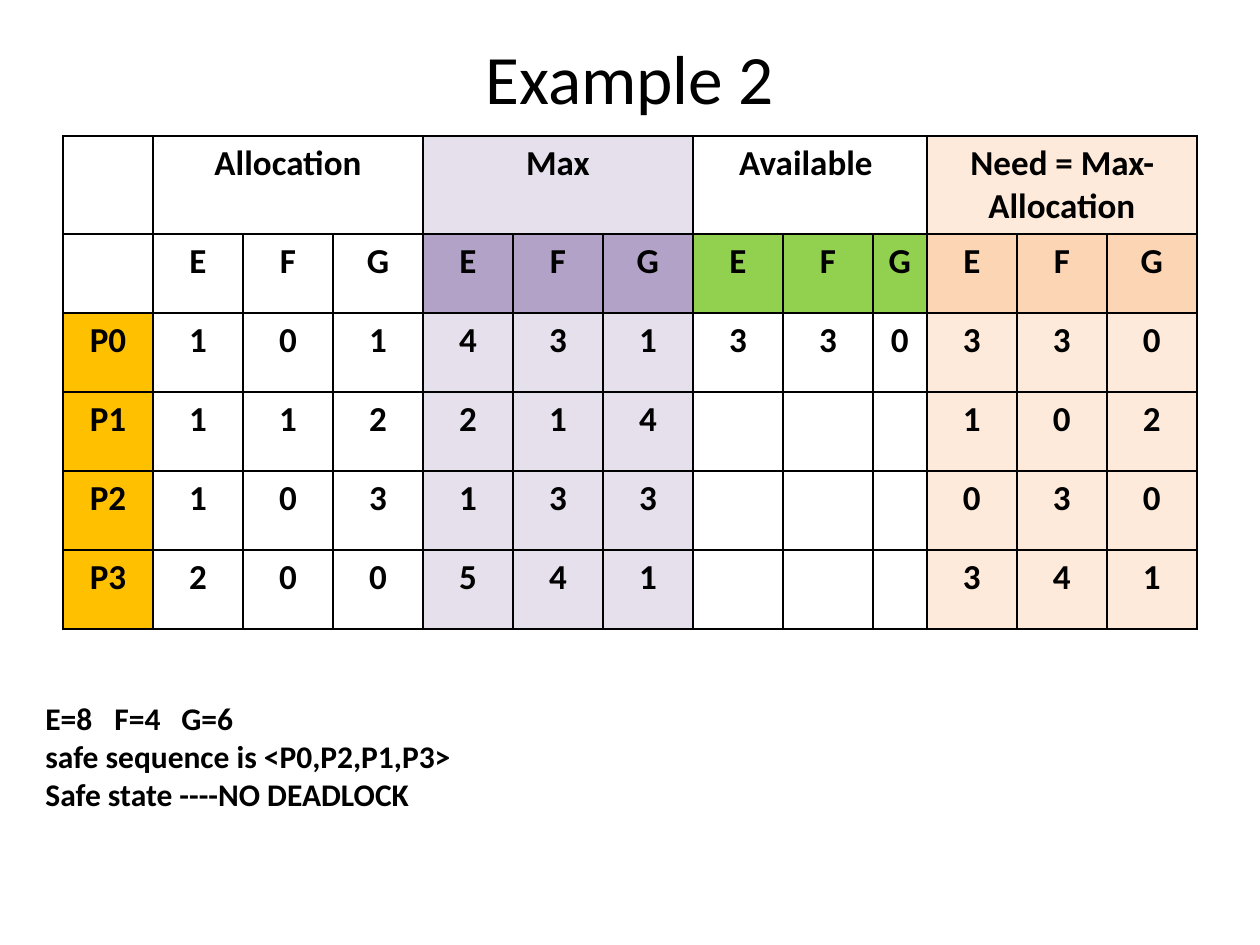
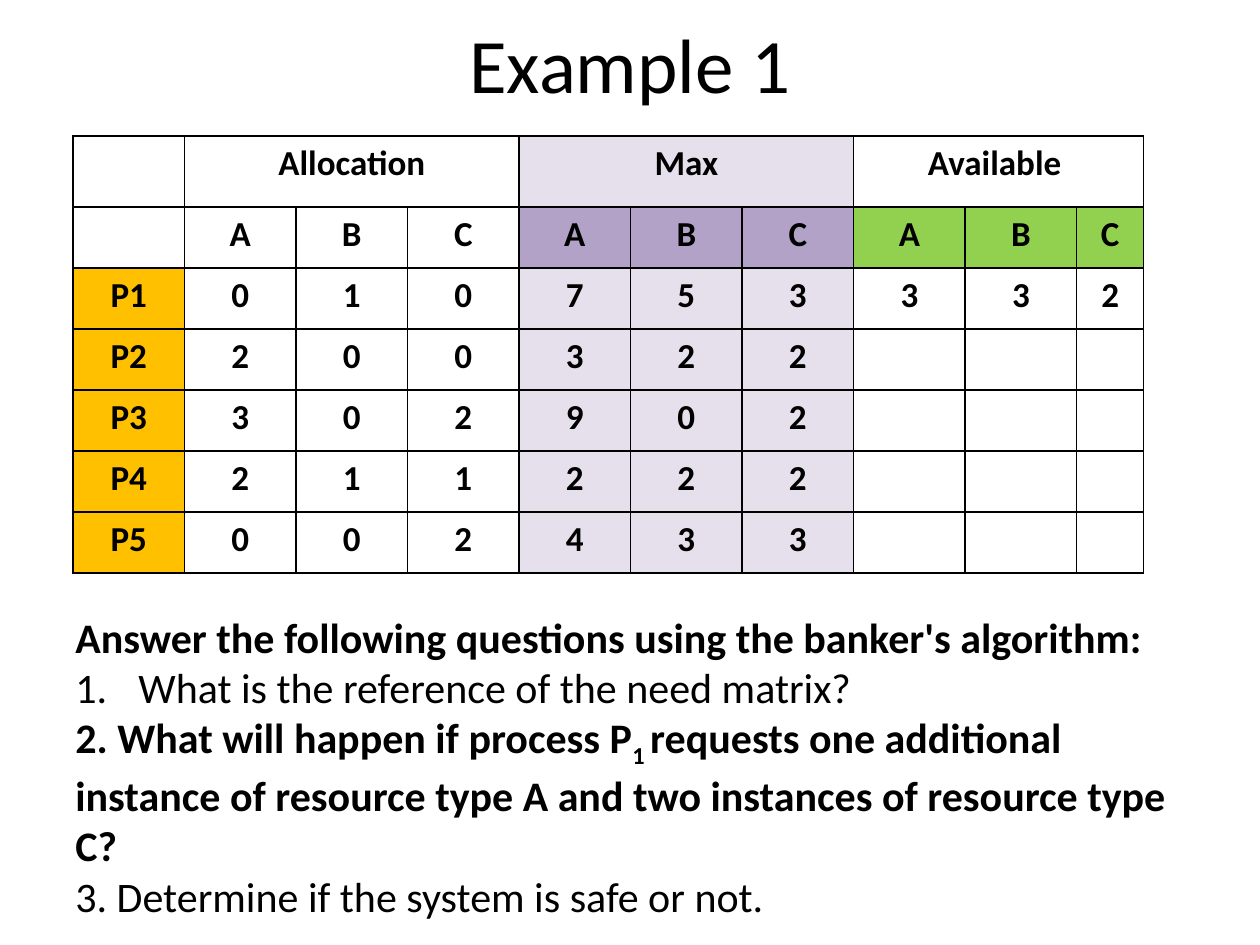
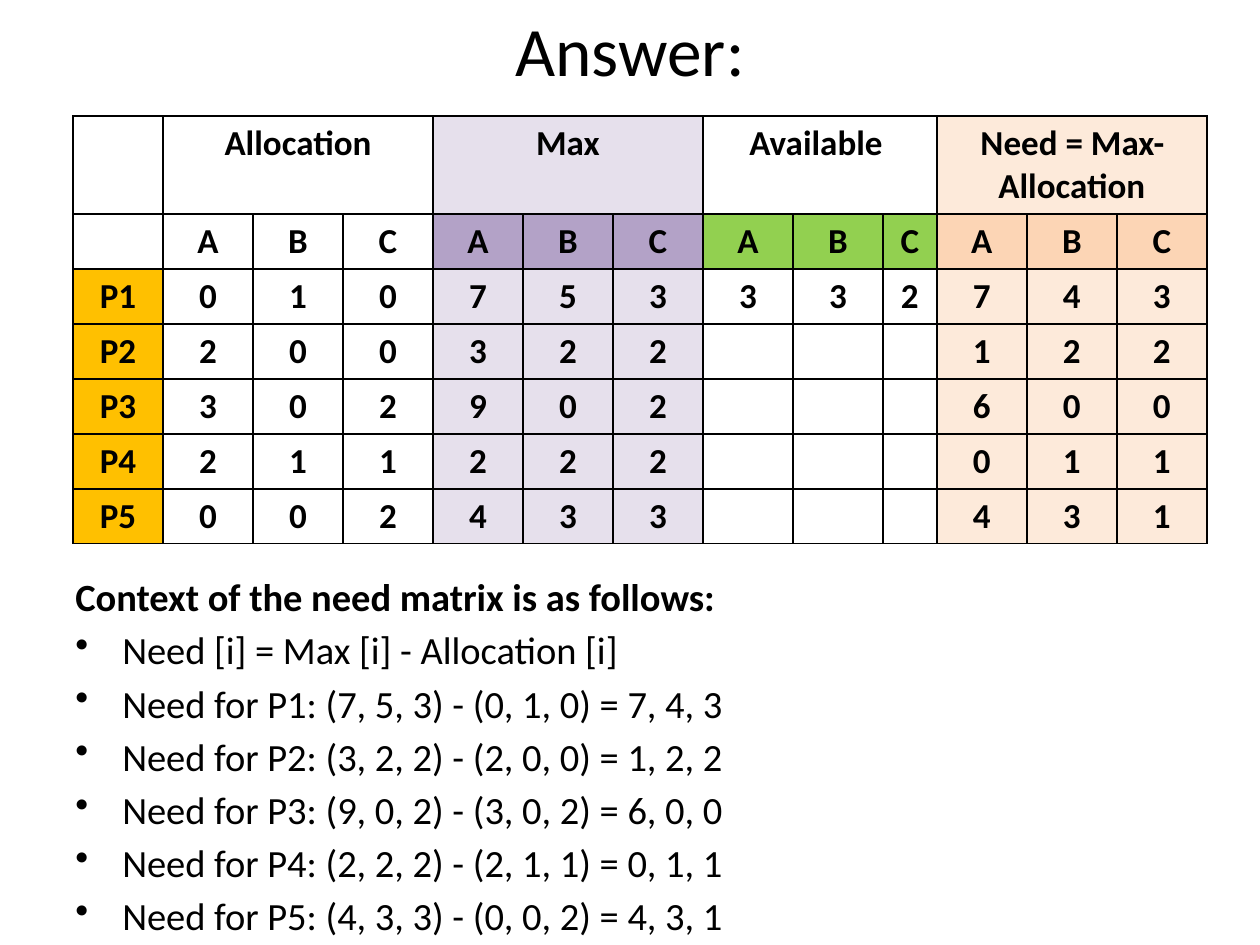
from dataclasses import dataclass
from lxml.etree import SubElement
from pptx import Presentation
from pptx.dml.color import RGBColor
from pptx.enum.text import MSO_ANCHOR, PP_ALIGN
from pptx.oxml.ns import qn
from pptx.util import Emu, Pt

EMU_PER_PX = 914400 / 126
FONT_NAME = "Calibri"
BLACK = RGBColor(0x00, 0x00, 0x00)
WHITE = RGBColor(0xFF, 0xFF, 0xFF)
AMBER = RGBColor(0xFF, 0xC0, 0x00)
GREEN = RGBColor(0x92, 0xD0, 0x50)
PURPLE = RGBColor(0xB3, 0xA2, 0xC7)
PALE_PURPLE = RGBColor(0xE6, 0xE0, 0xEC)
PEACH = RGBColor(0xFC, 0xD5, 0xB5)
PALE_PEACH = RGBColor(0xFD, 0xEA, 0xDA)

GROUP_STYLES = {
    "Allocation": (None, WHITE, None),
    "Max": (PALE_PURPLE, PURPLE, PALE_PURPLE),
    "Available ": (None, GREEN, WHITE),
    "Need = Max-Allocation": (PALE_PEACH, PEACH, PALE_PEACH),
}
WIDE, NARROW = 5, 3


@dataclass
class System:
    resources: str
    processes: list
    allocation: list
    maximum: list
    available: tuple

    def need(self):
        return [
            tuple(most - held for most, held in zip(*pair))
            for pair in zip(self.maximum, self.allocation)
        ]


SYSTEM_ABC = System(
    "ABC",
    ["P1", "P2", "P3", "P4", "P5"],
    [(0, 1, 0), (2, 0, 0), (3, 0, 2), (2, 1, 1), (0, 0, 2)],
    [(7, 5, 3), (3, 2, 2), (9, 0, 2), (2, 2, 2), (4, 3, 3)],
    (3, 3, 2),
)
SYSTEM_EFG = System(
    "EFG",
    ["P0", "P1", "P2", "P3"],
    [(1, 0, 1), (1, 1, 2), (1, 0, 3), (2, 0, 0)],
    [(4, 3, 1), (2, 1, 4), (1, 3, 3), (5, 4, 1)],
    (3, 3, 0),
)


def px(length):
    return Emu(round(length * EMU_PER_PX))


def apply_format(target, values):
    for name, value in values.items():
        setattr(target, name, value)


def add_span(para, text, size, bold=False, baseline=None):
    span = para.add_run()
    span.text = text
    apply_format(span.font, {"name": FONT_NAME, "size": Pt(size), "bold": bold})
    span.font.color.rgb = BLACK
    if baseline:
        span.font.bold = bold
        span._r.get_or_add_rPr().set("baseline", str(baseline * 1000))


def add_box(page, left, top, width, height, anchor=MSO_ANCHOR.TOP):
    box = page.shapes.add_textbox(px(left), px(top), px(width), px(height))
    apply_format(box.text_frame, {"word_wrap": True, "vertical_anchor": anchor})
    return box.text_frame


def next_para(frame):
    first = frame.paragraphs[0]
    return frame.add_paragraph() if first.runs else first


def add_line(frame, text, size, bold=False):
    para = next_para(frame)
    add_span(para, text, size, bold)
    return para


def hang(para, indent, marker=None, **attributes):
    properties = para._p.get_or_add_pPr()
    properties.set("marL", str(px(indent)))
    properties.set("indent", str(-px(indent)))
    if marker:
        SubElement(properties, qn(marker), attributes)


def set_tabs(para, stops):
    tabs = SubElement(para._p.get_or_add_pPr(), qn("a:tabLst"))
    for stop in stops:
        SubElement(tabs, qn("a:tab"), pos=str(px(stop)), algn="l")


def add_title(page, text, top, height, size):
    frame = add_box(page, 63, top, 1134, height, MSO_ANCHOR.MIDDLE)
    add_line(frame, text, size).alignment = PP_ALIGN.CENTER


def add_borders(cell):
    properties = cell._tc.get_or_add_tcPr()
    for position, side in enumerate(("a:lnL", "a:lnR", "a:lnT", "a:lnB")):
        line = properties.makeelement(qn(side), {"w": str(Pt(1))})
        fill = SubElement(line, qn("a:solidFill"))
        SubElement(fill, qn("a:srgbClr"), val=str(BLACK))
        properties.insert(position, line)


def fill_cell(cell, value, colour):
    if colour is None:
        cell.fill.background()
    else:
        cell.fill.solid()
        cell.fill.fore_color.rgb = colour
    if value != "":
        para = cell.text_frame.paragraphs[0]
        para.alignment = PP_ALIGN.CENTER
        add_span(para, str(value), 20, True)


def add_matrix(page, system, left, top, width, row_heights, with_need):
    count = len(system.processes)
    blank_row = ("", "", "")
    blocks = [
        system.allocation,
        system.maximum,
        [system.available] + [blank_row] * (count - 1),
    ]
    if with_need:
        blocks.append(system.need())
    weights = [WIDE] * (1 + 3 * len(blocks))
    weights[9] = NARROW
    heights = [row_heights[0]] + [row_heights[1]] * (count + 1)
    table = page.shapes.add_table(
        len(heights), len(weights), px(left), px(top), px(width), px(sum(heights))
    ).table
    apply_format(table, {"first_row": False, "horz_banding": False})
    for column, weight in zip(table.columns, weights):
        column.width = px(width * weight / sum(weights))
    for row, height in zip(table.rows, heights):
        row.height = px(height)

    for index, name in enumerate(["", ""] + system.processes):
        fill_cell(table.cell(index, 0), name, AMBER if name else WHITE)
    for group, (heading, block) in enumerate(zip(GROUP_STYLES, blocks)):
        heading_fill, letter_fill, value_fill = GROUP_STYLES[heading]
        start = 1 + 3 * group
        table.cell(0, start).merge(table.cell(0, start + 2))
        fill_cell(table.cell(0, start), heading, heading_fill)
        for offset, letter in enumerate(system.resources):
            fill_cell(table.cell(1, start + offset), letter, letter_fill)
            for index, values in enumerate(block):
                fill_cell(table.cell(index + 2, start + offset), values[offset], value_fill)
    for cell in table.iter_cells():
        add_borders(cell)


def build_safe_sequence(page):
    add_title(page, "Example 2", 38, 78, 39.6)
    add_matrix(page, SYSTEM_EFG, 63, 136, 1134, (98, 79), True)
    frame = add_box(page, 33, 693, 1227, 127)
    set_tabs(add_line(frame, "E=8\tF=4\tG=6", 18, True), (69, 136))
    add_line(frame, "safe sequence is <P0,P2,P1,P3>", 18, True)
    add_line(frame, "Safe state ----NO DEADLOCK", 18, True)


def build_questions(page):
    add_title(page, "Example 1", 10, 105, 44)
    add_matrix(page, SYSTEM_ABC, 73, 136, 1071, (71, 61), False)
    frame = add_box(page, 63, 605, 1155, 318)
    add_line(frame, "Answer the following questions using the banker's algorithm:", 24, True)
    reference = add_line(frame, "What is the reference of the need matrix?", 24)
    hang(reference, 63, "a:buAutoNum", type="arabicPeriod")
    request = add_line(frame, "2. What will happen if process P", 24, True)
    add_span(request, "1 ", 24, True, -25)
    add_span(
        request,
        "requests one additional instance of resource type A "
        "and two instances of resource type C?",
        24,
        True,
    )
    hang(add_line(frame, "3. Determine if the system is safe or not.", 24), 63)


def build_answer(page):
    add_title(page, "Answer:", 10, 78, 39.6)
    frame = add_box(page, 63, 567, 1134, 357)
    hang(add_line(frame, "Context of the need matrix is as follows:", 22, True), 47)
    lines = ["Need [i] = Max [i] - Allocation [i]"]
    rows = zip(SYSTEM_ABC.processes, SYSTEM_ABC.maximum, SYSTEM_ABC.allocation, SYSTEM_ABC.need())
    for process, most, held, need in rows:
        lines.append(f"Need for {process}: {most} - {held} = {', '.join(map(str, need))}")
    for text in lines:
        para = add_line(frame, text, 22)
        para.space_before = Pt(4)
        hang(para, 47, "a:buChar", char="•")
    add_matrix(page, SYSTEM_ABC, 73, 116, 1134, (98, 55), True)


def main():
    deck = Presentation()
    apply_format(deck, {"slide_width": px(1260), "slide_height": px(945)})
    for build in (build_safe_sequence, build_questions, build_answer):
        build(deck.slides.add_slide(deck.slide_layouts[6]))
    deck.save("out.pptx")


if __name__ == "__main__":
    main()
